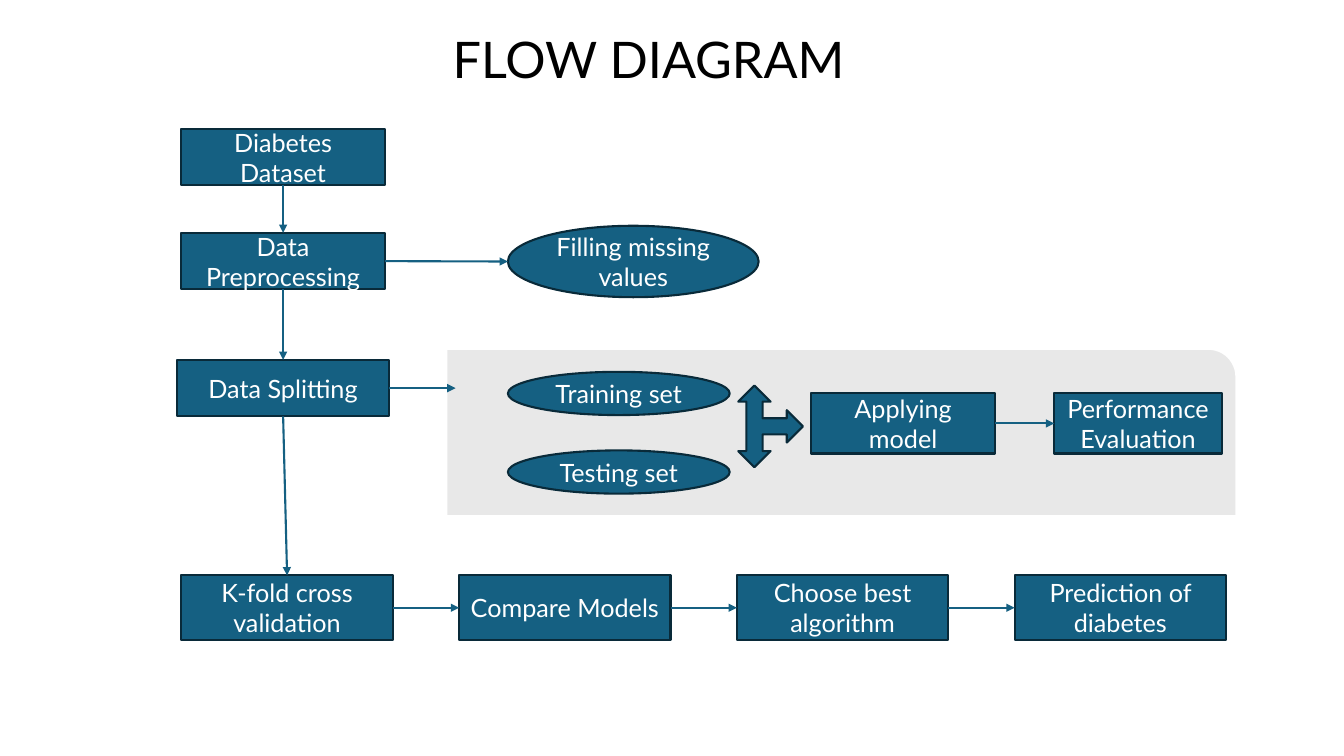
from lxml.etree import SubElement
from pptx import Presentation
from pptx.dml.color import RGBColor
from pptx.enum.shapes import MSO_CONNECTOR, MSO_SHAPE
from pptx.enum.text import MSO_ANCHOR, MSO_AUTO_SIZE, PP_ALIGN
from pptx.oxml.ns import qn
from pptx.util import Cm, Pt

COLORS = {"step": "156082", "edge": "092A39", "panel": "E8E8E8",
          "white": "FFFFFF", "black": "000000"}
FONT = "Lato"
TITLE = "FLOW DIAGRAM"
TITLE_BOX = (0.71, 0.56, 31.27, 1.8)
PANEL = (11.25, 8.79, 19.91, 4.22)
SPLIT_ARROW = (18.39, 9.93, 2.06, 1.63)
RECT, OVAL = MSO_SHAPE.RECTANGLE, MSO_SHAPE.OVAL

STEPS = {
    "Diabetes Dataset": (RECT, 4.57, 3.25, 5.13, 1.42),
    "Data Preprocessing": (RECT, 4.57, 5.87, 5.13, 1.42),
    "Data Splitting": (RECT, 4.47, 9.07, 5.33, 1.42),
    "Filling missing values": (OVAL, 12.8, 5.69, 6.32, 1.8),
    "Training set": (OVAL, 12.8, 9.37, 5.59, 1.09),
    "Testing set": (OVAL, 12.8, 11.35, 5.59, 1.09),
    "Applying model": (RECT, 20.45, 9.91, 4.62, 1.52),
    "Performance Evaluation": (RECT, 26.57, 9.91, 4.22, 1.52),
}
EVALUATION = ["K-fold cross validation", "Compare Models",
              "Choose best algorithm", "Prediction of diabetes"]
EVALUATION_LEFT, EVALUATION_TOP, EVALUATION_PITCH = 4.57, 14.5, 7.0
EVALUATION_SIZE = (5.33, 1.63)

DOWN = [("Diabetes Dataset", "Data Preprocessing"),
        ("Data Preprocessing", "Data Splitting"),
        ("Data Splitting", "K-fold cross validation")]
ACROSS = [("Data Preprocessing", "Filling missing values"),
          ("Applying model", "Performance Evaluation"),
          *zip(EVALUATION, EVALUATION[1:])]
PANEL_ENTRY = 11.48


def color(name):
    return RGBColor.from_string(COLORS[name])


def add_block(slide, kind, box, fill="step", edge="edge"):
    block = slide.shapes.add_shape(kind, *map(Cm, box))
    block.shadow.inherit = False
    block.fill.solid()
    block.fill.fore_color.rgb = color(fill)
    block.line.color.rgb = color(edge)
    block.line.width = Pt(1.5)
    return block


def write(frame, words, size, ink):
    frame.word_wrap = True
    frame.vertical_anchor = MSO_ANCHOR.MIDDLE
    paragraph = frame.paragraphs[0]
    paragraph.alignment = PP_ALIGN.CENTER
    run = paragraph.add_run()
    run.text = words
    run.font.name = FONT
    run.font.size = Pt(size)
    run.font.color.rgb = color(ink)


def add_arrow(slide, start, end):
    arrow = slide.shapes.add_connector(
        MSO_CONNECTOR.STRAIGHT, *map(Cm, (*start, *end)))
    arrow.line.color.rgb = color("step")
    arrow.line.width = Pt(1.5)
    SubElement(arrow.line._get_or_add_ln(), qn("a:tailEnd"), type="triangle")
    SubElement(arrow._element.spPr, qn("a:effectLst"))


def side(step, across, down):
    _, left, top, width, height = steps[step]
    return left + width * across, top + height * down


steps = dict(STEPS)
for column, step in enumerate(EVALUATION):
    steps[step] = (RECT, EVALUATION_LEFT + column * EVALUATION_PITCH,
                   EVALUATION_TOP, *EVALUATION_SIZE)

deck = Presentation()
deck.slide_width, deck.slide_height = Cm(33.87), Cm(19.05)
slide = deck.slides.add_slide(deck.slide_layouts[5])

title = slide.shapes.title
title.left, title.top, title.width, title.height = map(Cm, TITLE_BOX)
title.text_frame.auto_size = MSO_AUTO_SIZE.NONE
write(title.text_frame, TITLE, 36, "black")

add_block(slide, MSO_SHAPE.ROUND_1_RECTANGLE, PANEL, "panel", "white")
for step, (kind, *box) in steps.items():
    write(add_block(slide, kind, box).text_frame, step, 18, "white")
add_block(slide, MSO_SHAPE.LEFT_RIGHT_UP_ARROW, SPLIT_ARROW).rotation = 90

for source, target in DOWN:
    add_arrow(slide, side(source, 0.5, 1), side(target, 0.5, 0))
for source, target in ACROSS:
    add_arrow(slide, side(source, 1, 0.5), side(target, 0, 0.5))
split_exit = side("Data Splitting", 1, 0.5)
add_arrow(slide, split_exit, (PANEL_ENTRY, split_exit[1]))

deck.save("out.pptx")
